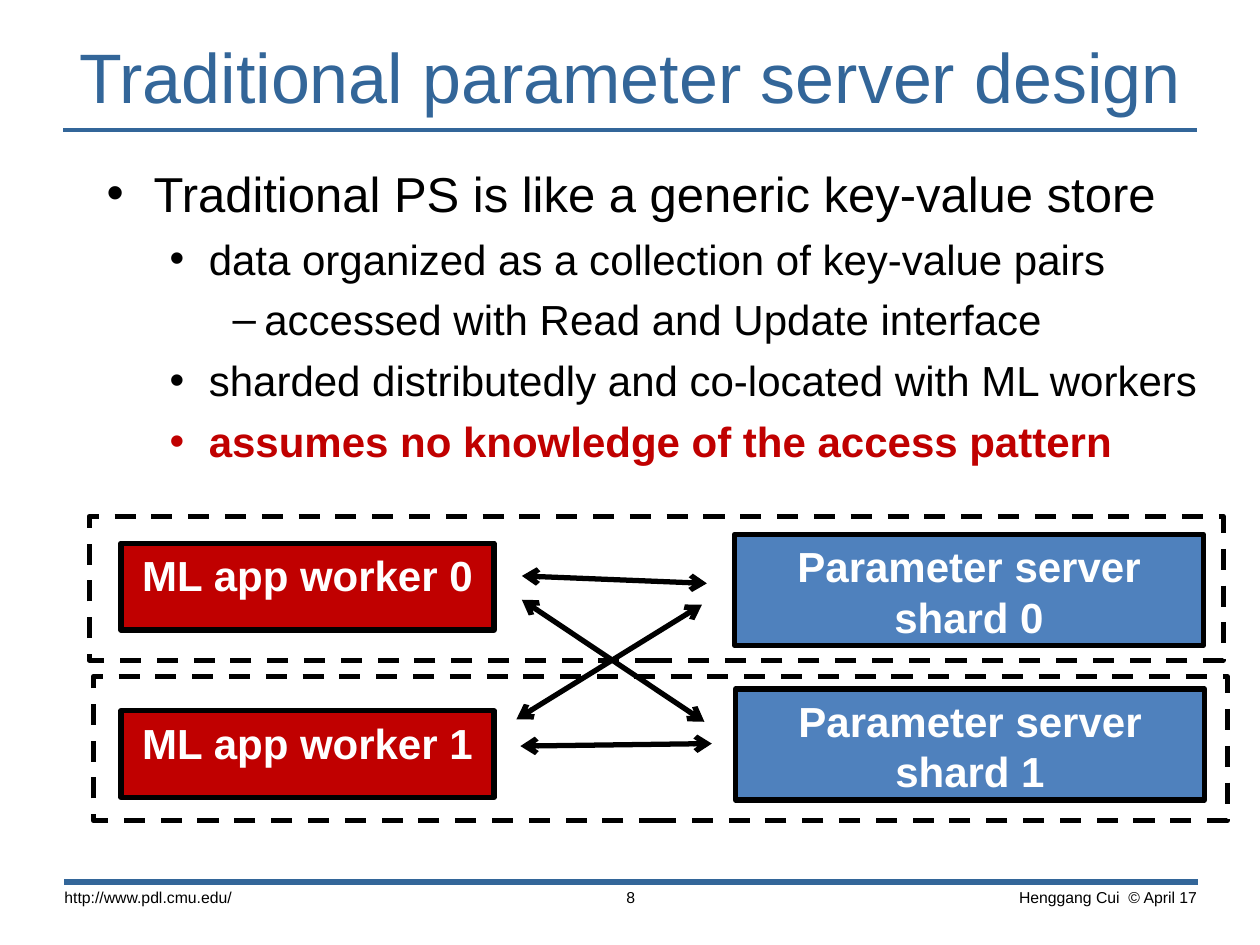
from lxml import etree
from pptx import Presentation
from pptx.dml.color import RGBColor
from pptx.enum.dml import MSO_LINE
from pptx.enum.shapes import MSO_CONNECTOR, MSO_SHAPE
from pptx.enum.text import MSO_ANCHOR as ANCHOR, PP_ALIGN as ALIGN
from pptx.oxml.ns import qn
from pptx.util import Cm, Pt

rgb = RGBColor.from_string
BLUE, RED, SHARD_BLUE = "336699", "C00000", "4F81BD"
BLACK, WHITE = "000000", "FFFFFF"

deck = Presentation()
deck.slide_width, deck.slide_height = Cm(25.4), Cm(19.05)
slide = deck.slides.add_slide(deck.slide_layouts[6])
shapes = slide.shapes


def write(frame, text, size=24, color=BLACK, bold=False, align=ALIGN.LEFT,
          inset=(0.25, 0.13), anchor=ANCHOR.TOP, bullet=None, margin=0,
          hang=0, before=0):
    """Fill the first paragraph of the frame, or append one after it."""
    frame.word_wrap = True
    frame.vertical_anchor = anchor
    frame.margin_left = frame.margin_right = Cm(inset[0])
    frame.margin_top = frame.margin_bottom = Cm(inset[1])
    paragraph = frame.add_paragraph() if frame.text else frame.paragraphs[0]
    paragraph.text = text
    paragraph.alignment = align
    if before:
        paragraph.space_before = Pt(before)
    if bullet:
        props = paragraph._p.get_or_add_pPr()
        props.set("marL", str(Cm(margin)))
        props.set("indent", str(-Cm(hang)))
        etree.SubElement(props, qn("a:buFont")).set("typeface", "Arial")
        etree.SubElement(props, qn("a:buChar")).set("char", bullet)
    font = paragraph.runs[0].font
    font.name, font.size, font.bold = "Arial", Pt(size), bold
    font.color.rgb = rgb(color)


def connect(start, end, color=BLACK, width=3, arrows=False):
    """Draw a straight line, with open arrowheads at both ends if asked."""
    x1, y1, x2, y2 = map(Cm, (*start, *end))
    link = shapes.add_connector(MSO_CONNECTOR.STRAIGHT, x1, y1, x2, y2)
    link.line.color.rgb = rgb(color)
    link.line.width = Pt(width)
    if arrows:
        for tip in ("a:headEnd", "a:tailEnd"):
            etree.SubElement(link.line._ln, qn(tip)).set("type", "arrow")
    etree.SubElement(link._element.spPr, qn("a:effectLst"))


# Rules under the title and above the footer
connect((1.27, 2.62), (24.13, 2.62), color=BLUE, width=2)
connect((1.3, 17.78), (24.16, 17.78), color=BLUE, width=3.5)

# Title
title = shapes.add_textbox(0, Cm(0.58), Cm(25.4), Cm(1.9))
write(title.text_frame, "Traditional parameter server design", size=40,
      color=BLUE, align=ALIGN.CENTER, anchor=ANCHOR.MIDDLE)

# Bullets
points = shapes.add_textbox(Cm(1.9), Cm(3.17), Cm(23.5), Cm(12.9)).text_frame
top_level = dict(size=28, bullet="•", margin=0.95, hang=0.95)
second = dict(bullet="•", margin=2.06, hang=0.79, before=6)
third = dict(bullet="–", margin=3.18, hang=0.64, before=6)
for text, level in (
    ("Traditional PS is like a generic key-value store", top_level),
    ("data organized as a collection of key-value pairs", second),
    ("accessed with Read and Update interface", third),
    ("sharded distributedly and co-located with ML workers", second),
    ("assumes no knowledge of the access pattern",
     dict(second, color=RED, bold=True)),
):
    write(points, text, **level)

# Footer
for text, left, width, align in (
    ("Henggang Cui  © April 17", 17.96, 6.45, ALIGN.RIGHT),
    ("http://www.pdl.cmu.edu/", 1.02, 6.35, ALIGN.LEFT),
    ("8", 10.24, 4.95, ALIGN.CENTER),
):
    footer = shapes.add_textbox(Cm(left), Cm(17.75), Cm(width), Cm(0.9))
    write(footer.text_frame, text, size=9, align=align, inset=(0.28, 0.15))

# Workers, shards and the dashed machines that hold them
for text, left, top, width, height, fill in (
    ("Parameter server shard 0", 14.81, 10.77, 9.45, 2.24, SHARD_BLUE),
    ("Parameter server shard 1", 14.83, 13.89, 9.45, 2.24, SHARD_BLUE),
    ("ML app worker 0", 2.44, 10.95, 7.52, 1.75, RED),
    ("ML app worker 1", 2.44, 14.33, 7.52, 1.75, RED),
    (None, 1.8, 10.41, 22.86, 2.9, None),
    (None, 1.88, 13.64, 22.86, 2.9, None),
):
    node = shapes.add_shape(MSO_SHAPE.RECTANGLE, Cm(left), Cm(top),
                            Cm(width), Cm(height))
    node.shadow.inherit = False
    node.line.color.rgb = rgb(BLACK)
    node.line.width = Pt(3)
    if text:
        node.fill.solid()
        node.fill.fore_color.rgb = rgb(fill)
        write(node.text_frame, text, color=WHITE, bold=True,
              align=ALIGN.CENTER)
    else:
        node.fill.background()
        node.line.dash_style = MSO_LINE.DASH

# Every worker talks to every shard
for start, end in (
    ((10.52, 11.61), (14.25, 11.76)),
    ((10.49, 15.04), (14.35, 14.99)),
    ((10.52, 12.09), (14.2, 14.55)),
    ((10.41, 14.5), (14.15, 12.19)),
):
    connect(start, end, arrows=True)

deck.save("out.pptx")
